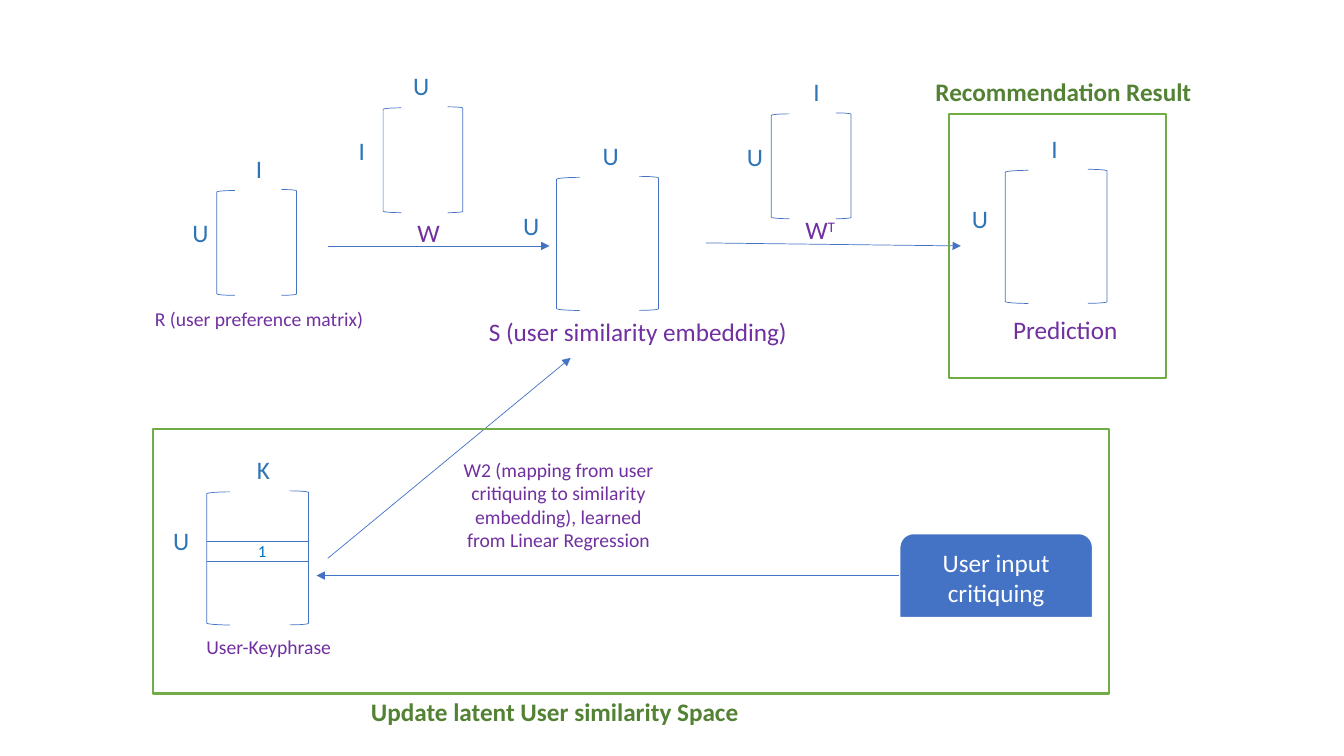
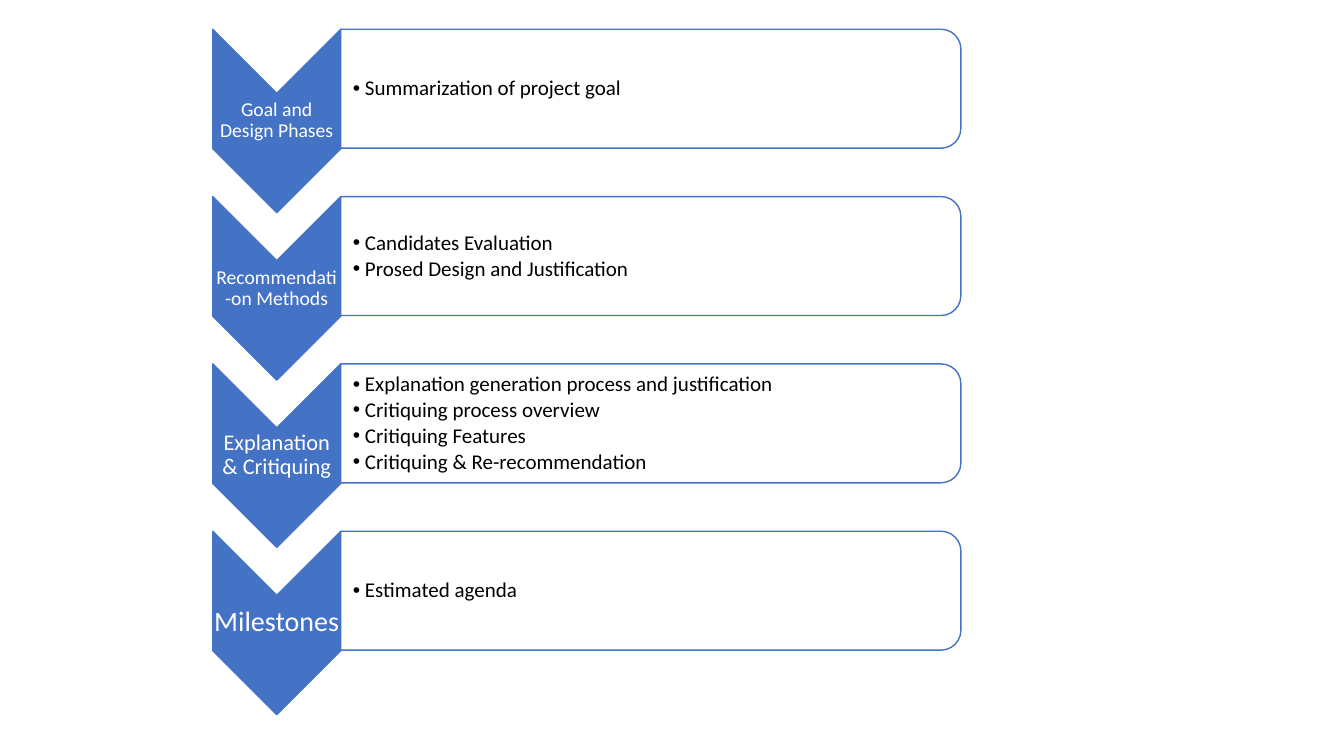
import pptx
import pptx.dml.color
import pptx.enum.shapes
import pptx.enum.text
import pptx.oxml
import pptx.oxml.ns
import pptx.util

PX = 9144  # 100 px to the inch
FONT = "Calibri"
BLUE, SKY, DEEP, GRAPE = "4472C4", "2E75B6", "0070C0", "7030A0"
GREEN, MOSS, WHITE, BLACK = "70AD47", "548235", "FFFFFF", "000000"
KIND = pptx.enum.shapes.MSO_SHAPE
LEFT = pptx.enum.text.PP_ALIGN.LEFT
MID = pptx.enum.text.PP_ALIGN.CENTER
QN = pptx.oxml.ns.qn


def px(*nums):
    return [round(num * PX) for num in nums]


def tint(hue):
    return pptx.dml.color.RGBColor.from_string(hue)


def put(item, vals):
    for name, val in vals.items():
        setattr(item, name, val)


def node(tag, attrs=""):
    return pptx.oxml.parse_xml(f"<a:{tag} {pptx.oxml.ns.nsdecls('a')} {attrs}/>")


def fill(text, lines, size, hue, bold=False, form=None, pads=(10, 5, 10, 5), middle=False):
    """Write one paragraph per line into a text frame."""
    sides = ("margin_left", "margin_top", "margin_right", "margin_bottom")
    anchor = pptx.enum.text.MSO_ANCHOR
    put(text, dict(zip(sides, px(*pads))))
    put(text, {"word_wrap": True, "auto_size": pptx.enum.text.MSO_AUTO_SIZE.NONE,
               "vertical_anchor": anchor.MIDDLE if middle else anchor.TOP})
    for num, line in enumerate(lines):
        para = text.add_paragraph() if num else text.paragraphs[0]
        put(para, form or {"alignment": LEFT})
        run = para.add_run()
        run.text = line
        put(run.font, {"name": FONT, "size": pptx.util.Pt(size), "bold": bold})
        run.font.color.rgb = tint(hue)


def write(slide, box, line, size, hue, **more):
    note = slide.shapes.add_textbox(*px(*box))
    fill(note.text_frame, [line], size, hue, **more)
    return note


def draw(slide, kind, box, edge, width, body=None):
    shape = slide.shapes.add_shape(kind, *px(*box))
    shape.shadow.inherit = False
    if body:
        shape.fill.solid()
        shape.fill.fore_color.rgb = tint(body)
    else:
        shape.fill.background()
    shape.line.color.rgb = tint(edge)
    shape.line.width = pptx.util.Pt(width)
    return shape


def turn(slide, kind, box, body):
    """Draw a shape turned by 90 degrees that fills the given box."""
    x, y, w, h = box
    gap = (w - h) / 2
    shape = draw(slide, kind, (x + gap, y - gap, h, w), BLUE, 1, body)
    shape.rotation = 90
    return shape


def link(slide, start, stop, arrow=True):
    line = slide.shapes.add_connector(
        pptx.enum.shapes.MSO_CONNECTOR.STRAIGHT, *px(*start, *stop))
    line.line.color.rgb = tint(BLUE)
    line.line.width = pptx.util.Pt(0.5)
    line.element.spPr.append(node("effectLst"))
    if arrow:
        line.element.spPr.find(QN("a:ln")).append(node("tailEnd", 'type="triangle"'))
    return line


def matrix(slide, box, row, col, shift):
    """Draw two brackets, a row label at the left and a column label above."""
    x, y, w, h = box
    near, far = round(w * 0.23), round(w * 0.19)
    draw(slide, KIND.LEFT_BRACKET, (x, y + 1, near, h - 1), BLUE, 0.5)
    draw(slide, KIND.RIGHT_BRACKET, (x + w - far, y, far, h), BLUE, 0.5)
    write(slide, (x - round(w * 0.43), y + round(h * 0.22), 53, 40), row, 18, SKY)
    write(slide, (x + shift, y - 41, 53, 40), col, 18, SKY)


def framed(slide, box, head, place):
    draw(slide, KIND.RECTANGLE, box, GREEN, 1.5)
    write(slide, place, head, 18, MOSS, bold=True)


def flow(slide):
    small, large = (79, 105), (101, 133)
    for spot, size, row, col, shift in (
            ((215, 188), small, "U", "I", 29),
            ((380, 106), small, "I", "U", 20),
            ((552, 175), large, "U", "U", 36),
            ((765, 112), small, "U", "I", 32),
            ((997, 168), large, "U", "I", 36),
            ((205, 487), large, "U", "K", 40)):
        matrix(slide, spot + size, row, col, shift)

    for box, line, size, align in (
            ((404, 211, 318, 40), "W", 18, LEFT),
            ((475, 309, 318, 40), "S (user similarity embedding)", 18, LEFT),
            ((995, 307, 142, 40), "Prediction", 18, LEFT),
            ((116, 300, 282, 34), "R (user preference matrix)", 14, MID),
            ((167, 625, 199, 34), "User-Keyphrase", 14, MID),
            ((449, 449, 210, 104), "W2 (mapping from user critiquing to similarity "
             "embedding), learned from Linear Regression", 14, MID)):
        write(slide, box, line, size, GRAPE, form={"alignment": align})

    power = write(slide, (789, 208, 139, 40), "W", 18, GRAPE)
    run = power.text_frame.paragraphs[0].add_run()
    run.text = "T"
    put(run.font, {"name": FONT, "size": pptx.util.Pt(18)})
    run.font.color.rgb = tint(GRAPE)
    list(power.element.iter(QN("a:rPr")))[-1].set("baseline", "30000")

    for y in (537, 557):
        link(slide, (205, y), (306, y), arrow=False)
    write(slide, (246, 532, 23, 30), "1", 12, DEEP)

    for start, stop in (((325, 244), (545, 244)), ((700, 241), (953, 244)),
                        ((325, 554), (566, 355))):
        link(slide, start, stop)

    user = draw(slide, KIND.ROUND_2_SAME_RECTANGLE, (892, 529, 192, 84), WHITE, 1.5, BLUE)
    fill(user.text_frame, ["User input critiquing"], 18, WHITE,
         form={"alignment": MID}, middle=True)
    arrow = link(slide, (892, 571), (314, 571))
    arrow.begin_connect(user, 2)  # this preset counts its left side as 2
    put(arrow, dict(zip(("begin_x", "begin_y"), px(892, 571))))

    framed(slide, (941, 113, 216, 262), "Recommendation Result", (918, 71, 296, 40))
    framed(slide, (152, 426, 948, 262), "Update latent User similarity Space",
           (358, 686, 552, 40))


def phase(slide, spot, head, size, points, holder):
    """Place a chevron with its label and a panel with its list."""
    x, y = spot
    wide = 127
    turn(slide, KIND.CHEVRON, (x, y, wide, 182), BLUE)
    write(slide, (x, y + 64, wide, 54), head, size, WHITE, pads=(1, 1, 1, 1), middle=True,
          form={"alignment": MID, "line_spacing": 0.9,
                "space_after": pptx.util.Pt(size * 0.35)})
    panel = turn(slide, KIND.ROUND_2_SAME_RECTANGLE, (x + wide, y, 615, 118), WHITE)
    shade = panel.element.spPr.find(QN("a:solidFill"))[0]
    shade.append(node("alpha", 'val="90000"'))

    slide.shapes.element.append(holder.element)  # bring the list in front of its panel
    put(holder, dict(zip(("left", "top", "width", "height"),
                         px(x + wide, y + 6, 610, 107))))
    fill(holder.text_frame, points, 15, BLACK, pads=(12, 1, 1, 1), middle=True,
         form={"alignment": LEFT, "line_spacing": 0.9, "space_before": pptx.util.Pt(0),
               "space_after": pptx.util.Pt(2.25)})
    for para in holder.element.iter(QN("a:pPr")):
        para.set("marL", str(12 * PX))
        para.set("indent", str(-12 * PX))
        para.append(node("buFont", 'typeface="Arial"'))
        para.append(node("buChar", 'char="•"'))


def agenda(slide):
    title = slide.shapes.title.element
    title.getparent().remove(title)
    phases = (
        ("Goal and Design Phases", 14, ["Summarization of project goal"]),
        ("Recommendati-on Methods", 14,
         ["Candidates Evaluation", "Prosed Design and Justification"]),
        ("Explanation & Critiquing", 16,
         ["Explanation generation process and justification", "Critiquing process overview",
          "Critiquing Features", "Critiquing & Re-recommendation"]),
        ("Milestones", 20, ["Estimated agenda"]))
    for num, (part, holder) in enumerate(zip(phases, list(slide.placeholders))):
        phase(slide, (211, 29 + 166 * num), *part, holder)


def main():
    deck = pptx.Presentation()
    put(deck, dict(zip(("slide_width", "slide_height"), px(1333, 750))))
    blank, lists = deck.slide_layouts[6], deck.slide_layouts[4]
    flow(deck.slides.add_slide(blank))
    agenda(deck.slides.add_slide(lists))
    deck.save("out.pptx")


if __name__ == "__main__":
    main()
